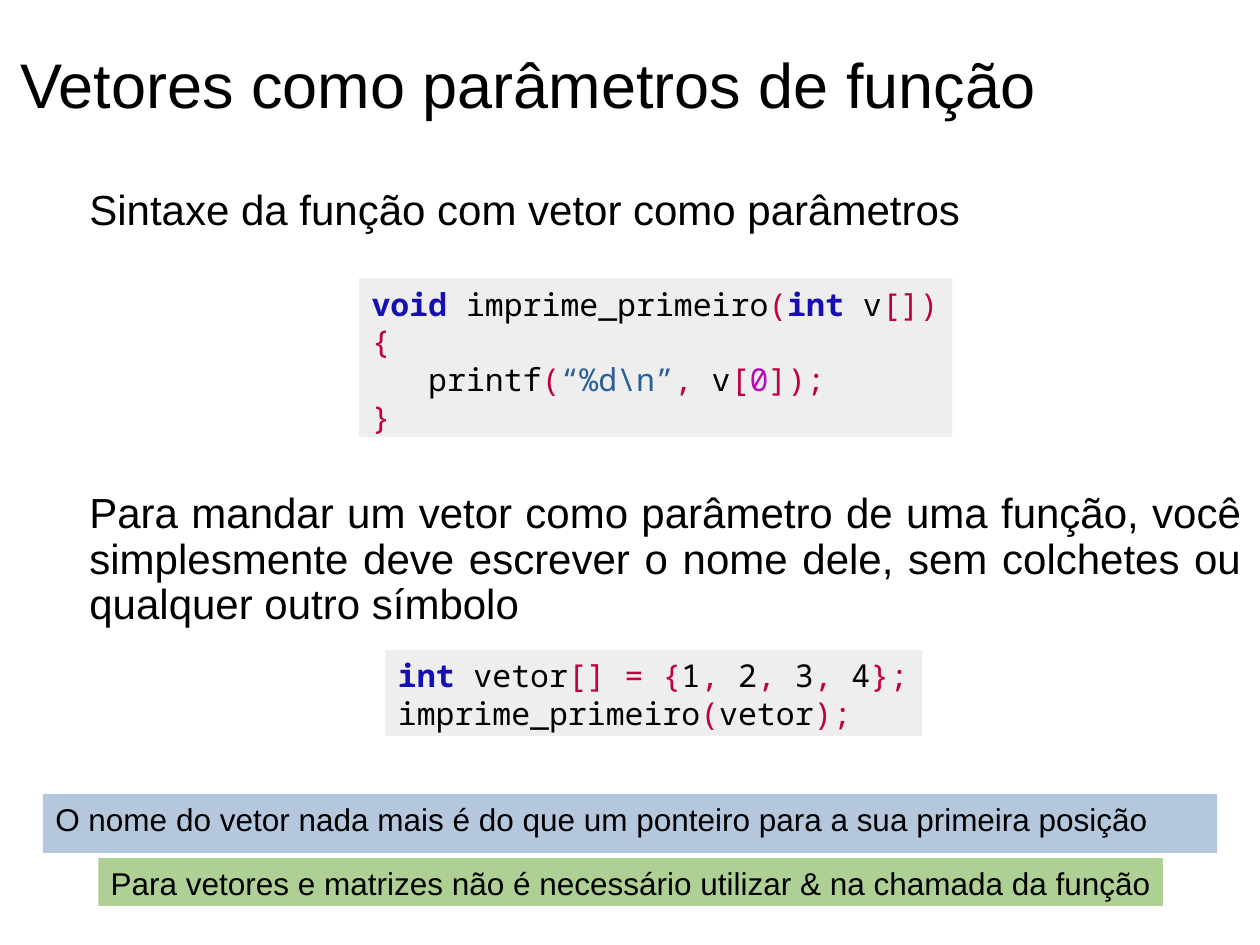
"""Build a slide on passing arrays as function parameters in C."""
from pptx import Presentation
from pptx.dml.color import RGBColor
from pptx.enum.shapes import MSO_SHAPE
from pptx.enum.text import MSO_ANCHOR, PP_ALIGN
from pptx.util import Inches, Pt

RECT = MSO_SHAPE.RECTANGLE
TOP, MIDDLE = MSO_ANCHOR.TOP, MSO_ANCHOR.MIDDLE
LEFT, JUSTIFY = PP_ALIGN.LEFT, PP_ALIGN.JUSTIFY

COLORS = {
    "plain": "000000", "keyword": "160FB3", "symbol": "BF0041",
    "string": "2A6099", "number": "B60BB6",
    "code": "EEEEEE", "blue": "B4C7DC", "green": "AFD095",
}
PROSE_FONT, CODE_FONT = "Arial", "Noto Sans Mono"
CODE_INDENT = 0.45

TITLE = ("Vetores como parâmetros de função", (0.16, 0.13, 9.76, 1.06))
STATEMENTS = [
    ("Sintaxe da função com vetor como parâmetros", (0.71, 1.5, 9.14, 0.4), LEFT),
    ("Para mandar um vetor como parâmetro de uma função, você simplesmente deve "
     "escrever o nome dele, sem colchetes ou qualquer outro símbolo",
     (0.71, 3.91, 9.14, 1.1), JUSTIFY),
]
DEFINITION = [
    (0, [("void", "keyword"), (" imprime_primeiro", "plain"), ("(", "symbol"),
         ("int", "keyword"), (" v", "plain"), ("[])", "symbol")]),
    (0, [("{", "symbol")]),
    (1, [("printf", "plain"), ("(", "symbol"), ("“%d\\n”", "string"), (",", "symbol"),
         (" v", "plain"), ("[", "symbol"), ("0", "number"), ("]);", "symbol")]),
    (0, [("}", "symbol")]),
]
CALL = [
    (0, [("int", "keyword"), (" vetor", "plain"), ("[] = {", "symbol"), ("1", "plain"),
         (",", "symbol"), (" 2", "plain"), (",", "symbol"), (" 3", "plain"),
         (",", "symbol"), (" 4", "plain"), ("};", "symbol")]),
    (0, [("imprime_primeiro", "plain"), ("(", "symbol"), ("vetor", "plain"),
         (");", "symbol")]),
]
POINTER_NOTE = [(0, [("O nome do vetor nada mais é do que um ponteiro para a sua "
                      "primeira posição", "plain")])]
AMPERSAND_NOTE = [(0, [("Para vetores e matrizes não é necessário utilizar & na "
                        "chamada da função", "plain")])]
PANELS = [
    (DEFINITION, (2.85, 2.21, 4.71, 1.26), "code", CODE_FONT, False),
    (CALL, (3.06, 5.16, 4.26, 0.68), "code", CODE_FONT, False),
    (POINTER_NOTE, (0.34, 6.3, 9.32, 0.47), "blue", PROSE_FONT, True),
    (AMPERSAND_NOTE, (0.78, 6.81, 8.45, 0.38), "green", PROSE_FONT, False),
]


def color(role):
    return RGBColor.from_string(COLORS[role])


def add_run(paragraph, text, role, font_name, size):
    run = paragraph.add_run()
    run.text = text
    run.font.name = font_name
    run.font.size = Pt(size)
    run.font.bold = role == "keyword"
    run.font.color.rgb = color(role)


def set_frame(frame, anchor, wrap, side, edge):
    frame.vertical_anchor = anchor
    frame.word_wrap = wrap
    frame.margin_left = frame.margin_right = Inches(side)
    frame.margin_top = frame.margin_bottom = Inches(edge)


def add_prose(slide, text, box, size, align=LEFT, anchor=TOP, spacing=1.0):
    frame = slide.shapes.add_textbox(*map(Inches, box)).text_frame
    set_frame(frame, anchor, True, 0, 0)
    paragraph = frame.paragraphs[0]
    paragraph.alignment = align
    paragraph.line_spacing = spacing
    add_run(paragraph, text, "plain", PROSE_FONT, size)


def add_panel(slide, lines, box, fill, font_name, wrap):
    panel = slide.shapes.add_shape(RECT, *map(Inches, box))
    panel.shadow.inherit = False
    panel.fill.solid()
    panel.fill.fore_color.rgb = color(fill)
    panel.line.fill.background()
    frame = panel.text_frame
    set_frame(frame, TOP, wrap, 0.1, 0.05)
    for index, (level, tokens) in enumerate(lines):
        paragraph = frame.add_paragraph() if index else frame.paragraphs[0]
        paragraph.alignment = LEFT
        if level:
            properties = paragraph._p.get_or_add_pPr()
            properties.set("marL", str(Inches(level * CODE_INDENT)))
            properties.set("indent", "0")
        for text, role in tokens:
            add_run(paragraph, text, role, font_name, 18)


def main():
    presentation = Presentation()
    presentation.slide_width = Inches(10)
    presentation.slide_height = Inches(7.5)
    slide = presentation.slides.add_slide(presentation.slide_layouts[6])
    add_prose(slide, *TITLE, 36, anchor=MIDDLE)
    for text, box, align in STATEMENTS:
        add_prose(slide, text, box, 24, align, spacing=0.9)
    for panel in PANELS:
        add_panel(slide, *panel)
    presentation.save("out.pptx")


if __name__ == "__main__":
    main()
